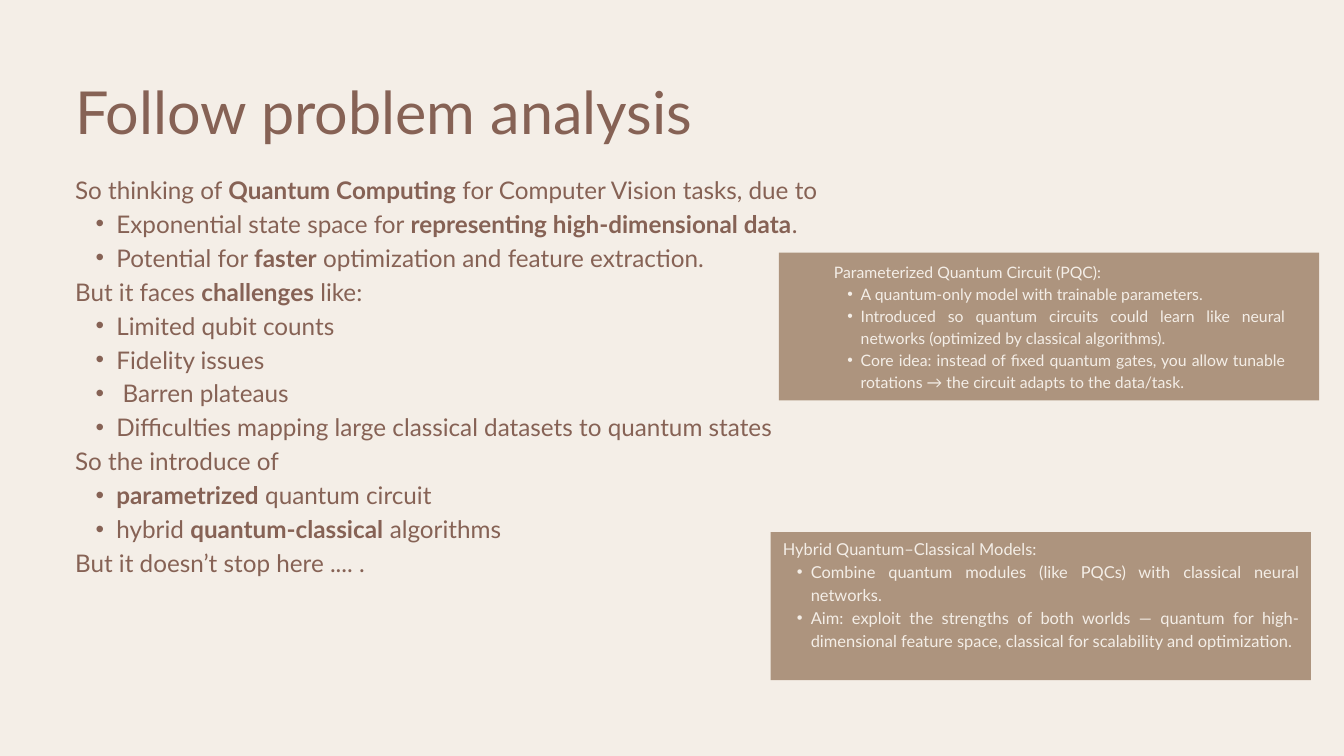
import dataclasses

import pptx
import pptx.dml.color
import pptx.enum.shapes
import pptx.enum.text
import pptx.oxml.ns
import pptx.util
from lxml import etree

Cm = pptx.util.Cm
Pt = pptx.util.Pt


@dataclasses.dataclass(frozen=True)
class Theme:
    cream: str = "F4EEE7"
    brown: str = "866255"
    tan: str = "AD947E"
    font: str = "Lato"
    title_size: float = 63.5
    body_size: float = 26
    circuit_size: float = 16.9
    hybrid_size: float = 17.6
    title_leading: float = 1.18
    text_leading: float = 1.4
    bullet_indent: float = 1.7  # in multiples of the type size


class SlideBuilder:
    def __init__(self, presentation, theme):
        self.theme = theme
        self.slide = presentation.slides.add_slide(presentation.slide_layouts[6])

    def color(self, value):
        return pptx.dml.color.RGBColor.from_string(value)

    def background(self, color):
        fill = self.slide.background.fill
        fill.solid()
        fill.fore_color.rgb = self.color(color)

    def panel(self, left, top, width, height):
        panel = self.slide.shapes.add_shape(
            pptx.enum.shapes.MSO_SHAPE.RECTANGLE,
            Cm(left), Cm(top), Cm(width), Cm(height))
        panel.shadow.inherit = False
        panel.fill.solid()
        panel.fill.fore_color.rgb = self.color(self.theme.tan)
        panel.line.fill.background()

    def bullet(self, paragraph, size):
        paragraph.level = 1
        indent = Pt(size * self.theme.bullet_indent)
        properties = paragraph._p.get_or_add_pPr()
        properties.set("marL", str(indent))
        properties.set("indent", str(-indent // 2))
        for tag, attribute, value in (("a:buFont", "typeface", "Arial"),
                                      ("a:buChar", "char", "•")):
            mark = etree.SubElement(properties, pptx.oxml.ns.qn(tag))
            mark.set(attribute, value)

    def text(self, box, lines, size, color, leading, align="JUSTIFY"):
        """Lines starting with "• " are bullets; **marks** enclose bold words."""
        frame = self.slide.shapes.add_textbox(*map(Cm, box)).text_frame
        frame_format = {"word_wrap": True, "margin_left": 0, "margin_top": 0,
                        "margin_right": 0, "margin_bottom": 0}
        for name, value in frame_format.items():
            setattr(frame, name, value)

        for index, line in enumerate(lines):
            paragraph = frame.add_paragraph() if index else frame.paragraphs[0]
            if line.startswith("• "):
                self.bullet(paragraph, size)
            paragraph_format = {
                "alignment": getattr(pptx.enum.text.PP_ALIGN, align),
                "line_spacing": Pt(size * leading)}
            for name, value in paragraph_format.items():
                setattr(paragraph, name, value)

            for part, words in enumerate(line.removeprefix("• ").split("**")):
                if not words:
                    continue
                run = paragraph.add_run()
                run.text = words
                run_format = {"name": self.theme.font, "size": Pt(size),
                              "bold": part % 2 == 1}
                for name, value in run_format.items():
                    setattr(run.font, name, value)
                run.font.color.rgb = self.color(color)


ANALYSIS = [
    "So thinking of **Quantum Computing** for Computer Vision tasks, due to",
    "• Exponential state space for **representing high-dimensional data**.",
    "• Potential for **faster** optimization and feature extraction.",
    "But it faces **challenges** like:",
    "• Limited qubit counts",
    "• Fidelity issues",
    "•  Barren plateaus",
    "• Difficulties mapping large classical datasets to quantum states",
    "So the introduce of",
    "• **parametrized** quantum circuit",
    "• hybrid **quantum-classical** algorithms",
    "But it doesn’t stop here .... .",
]
CIRCUIT = [
    "Parameterized Quantum Circuit (PQC):",
    "• A quantum-only model with trainable parameters.",
    "• Introduced so quantum circuits could learn like neural networks "
    "(optimized by classical algorithms).",
    "• Core idea: instead of fixed quantum gates, you allow tunable rotations "
    "→ the circuit adapts to the data/task.",
]
HYBRID = [
    "Hybrid Quantum–Classical Models:",
    "• Combine quantum modules (like PQCs) with classical neural networks.",
    "• Aim: exploit the strengths of both worlds — quantum for "
    "high-dimensional feature space, classical for scalability and optimization.",
]


def main():
    presentation = pptx.Presentation()
    presentation.slide_width = Cm(50.8)
    presentation.slide_height = Cm(28.58)
    theme = Theme()
    builder = SlideBuilder(presentation, theme)
    builder.background(theme.cream)

    # Title and analysis
    builder.text((2.84, 2.9, 25.07, 2.64), ["Follow problem analysis"],
                 theme.title_size, theme.brown, theme.title_leading, "LEFT")
    builder.text((2.84, 6.43, 28.88, 16.48), ANALYSIS,
                 theme.body_size, theme.brown, theme.text_leading)

    # Explanation panels
    panel_size = (20.42, 5.59)
    panels = [
        ((29.44, 9.55), (31.52, 9.8, 17.07, 5.79), CIRCUIT, theme.circuit_size),
        ((29.13, 20.12), (29.59, 20.27, 19.53, 5.18), HYBRID, theme.hybrid_size),
    ]
    for corner, text_box, lines, size in panels:
        builder.panel(*corner, *panel_size)
        builder.text(text_box, lines, size, theme.cream, theme.text_leading)

    presentation.save("out.pptx")


if __name__ == "__main__":
    main()
